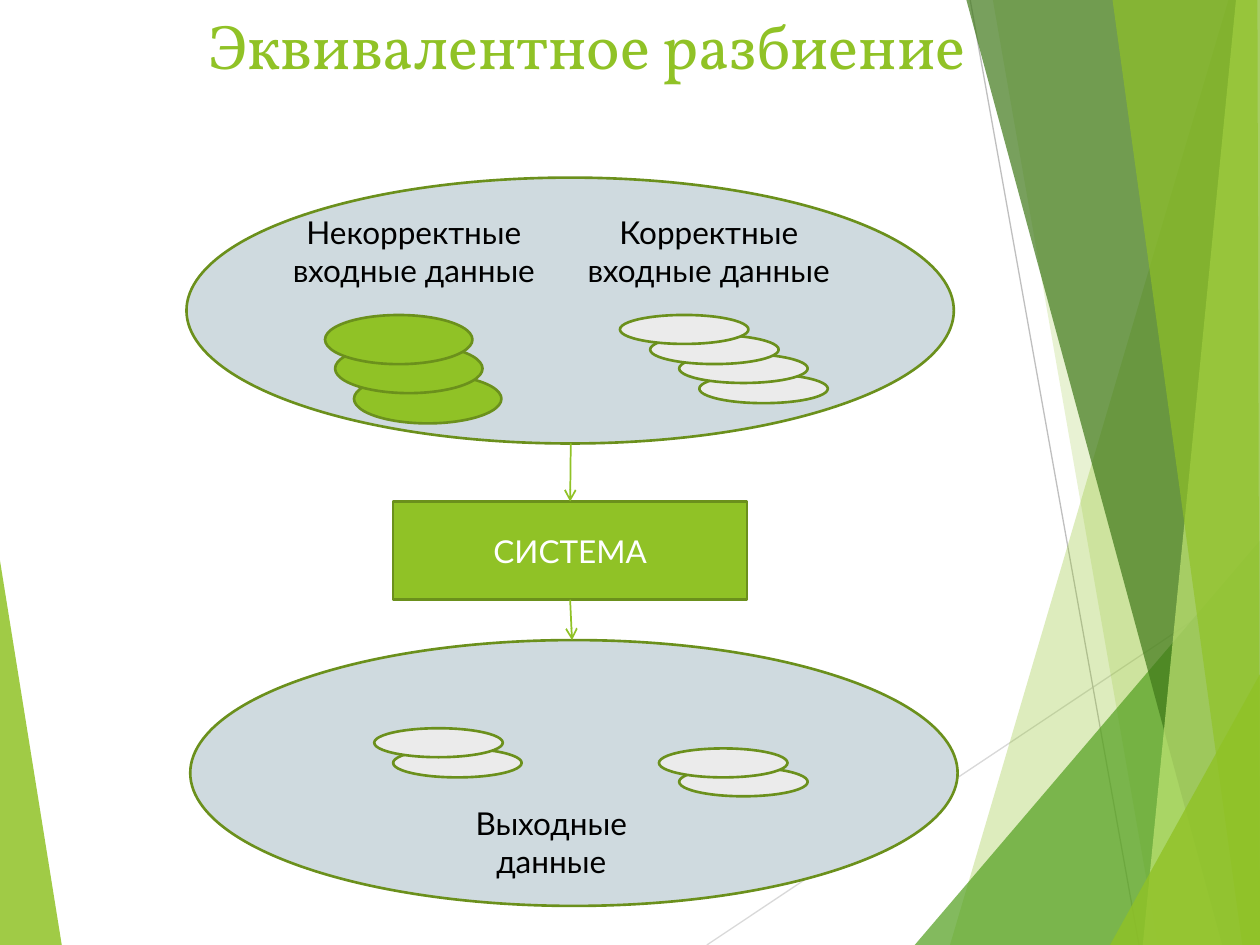
from dataclasses import dataclass

import lxml.etree
import pptx
import pptx.dml.color
import pptx.enum.shapes
import pptx.enum.text
import pptx.oxml.ns
import pptx.util

Inches = pptx.util.Inches
Pt = pptx.util.Pt
qn = pptx.oxml.ns.qn
SHAPE = pptx.enum.shapes.MSO_SHAPE
ANCHOR = pptx.enum.text.MSO_ANCHOR


@dataclass(frozen=True)
class Theme:
    green: str = "90C226"
    leaf: str = "54A021"
    forest: str = "3F7819"
    lime: str = "C0E474"
    outline: str = "6B901C"
    pool: str = "CFDADF"
    valid: str = "EBEBEB"
    ray_light: str = "D9D9D9"
    ray_dark: str = "BFBFBF"
    black: str = "000000"
    white: str = "FFFFFF"
    title_font: str = "Vollkorn"
    body_font: str = "Lato"
    title_size: int = 36
    body_size: int = 18


THEME = Theme()


@dataclass(frozen=True)
class Facet:
    points: tuple[tuple[float, float], ...]
    color: str
    opacity: int


@dataclass(frozen=True)
class Box:
    left: float
    top: float
    width: float
    height: float

    def lengths(self) -> tuple:
        return tuple(map(Inches, (self.left, self.top, self.width, self.height)))


@dataclass(frozen=True)
class Stack:
    corners: tuple[tuple[float, float], ...]
    width: float
    height: float
    color: str


@dataclass(frozen=True)
class Label:
    text: str
    box: Box


LEFT_FACET = Facet(((0, 4.45), (0.49, 7.5), (0, 7.5)), THEME.green, 85)
RIGHT_FACETS = (
    Facet(((9.75, 0), (7.54, 7.5), (10, 7.5), (10, 0)), THEME.green, 30),
    Facet(((7.88, 0), (9.19, 7.5), (10, 7.5), (10, 0)), THEME.green, 20),
    Facet(((7.26, 7.5), (10, 4.29), (10, 7.5)), THEME.leaf, 72),
    Facet(((7.67, 0), (9.7, 7.5), (10, 7.5), (10, 0)), THEME.forest, 70),
    Facet(((9.81, 0), (9.07, 7.5), (10, 7.5), (10, 0)), THEME.lime, 70),
    Facet(((8.83, 0), (9.86, 7.5), (10, 7.5), (9.98, 0)), THEME.green, 65),
    Facet(((8.81, 7.5), (10, 5.35), (10, 7.5)), THEME.green, 80),
)
INPUT_STACKS = (
    Stack(((2.81, 2.97), (2.66, 2.73), (2.58, 2.5)), 1.17, 0.39, THEME.green),
    Stack(((5.55, 2.97), (5.39, 2.81), (5.16, 2.66), (4.92, 2.5)), 1.02, 0.23, THEME.valid),
)
OUTPUT_STACKS = (
    Stack(((3.12, 5.94), (2.97, 5.78)), 1.02, 0.23, THEME.valid),
    Stack(((5.39, 6.09), (5.23, 5.94)), 1.02, 0.23, THEME.valid),
)
INPUT_LABELS = (
    Label("Некорректные входные данные", Box(2.19, 1.64, 2.19, 0.71)),
    Label("Корректные входные данные", Box(4.53, 1.64, 2.19, 0.71)),
)
OUTPUT_LABEL = Label("Выходные данные", Box(3.28, 6.33, 2.19, 0.71))


def rgb(color: str) -> pptx.dml.color.RGBColor:
    return pptx.dml.color.RGBColor.from_string(color)


def add_facet(s, facet: Facet) -> None:
    start, *rest = [(Inches(x), Inches(y)) for x, y in facet.points]
    builder = s.shapes.build_freeform(*start)
    builder.add_line_segments(rest)
    sp = builder.convert_to_shape()
    sp.shadow.inherit = False
    sp.fill.solid()
    sp.fill.fore_color.rgb = rgb(facet.color)
    color = sp._element.spPr.find(qn("a:solidFill"))[0]
    lxml.etree.SubElement(color, qn("a:alpha"), val=str(facet.opacity * 1000))
    sp.line.fill.background()


def add_line(s, start: tuple[float, float], end: tuple[float, float],
             color: str, width: float, arrow: bool = False):
    cx = s.shapes.add_connector(pptx.enum.shapes.MSO_CONNECTOR.STRAIGHT,
                                *map(Inches, start + end))
    cx.line.color.rgb = rgb(color)
    cx.line.width = Pt(width)
    if arrow:
        ln = cx.line._get_or_add_ln()
        lxml.etree.SubElement(ln, qn("a:tailEnd"), type="arrow")
    lxml.etree.SubElement(cx._element.spPr, qn("a:effectLst"))
    return cx


def add_block(s, kind, box: Box, color: str):
    sp = s.shapes.add_shape(kind, *box.lengths())
    sp.shadow.inherit = False
    sp.fill.solid()
    sp.fill.fore_color.rgb = rgb(color)
    sp.line.color.rgb = rgb(THEME.outline)
    sp.line.width = Pt(1.5)
    return sp


def add_stack(s, stack: Stack) -> None:
    for left, top in stack.corners:
        add_block(s, SHAPE.OVAL, Box(left, top, stack.width, stack.height), stack.color)


def set_text(sp, text: str, color: str, font: str = THEME.body_font,
             size: int = THEME.body_size, anchor=ANCHOR.TOP) -> None:
    tf = sp.text_frame
    tf.word_wrap = True
    tf.vertical_anchor = anchor
    p = tf.paragraphs[0]
    p.text = text
    p.alignment = pptx.enum.text.PP_ALIGN.CENTER
    p.font.name = font
    p.font.size = Pt(size)
    p.font.color.rgb = rgb(color)


def add_label(s, label: Label) -> None:
    set_text(s.shapes.add_textbox(*label.box.lengths()), label.text, THEME.black)


def main() -> None:
    prs = pptx.Presentation()
    prs.slide_width, prs.slide_height = Inches(10), Inches(7.5)
    s = prs.slides.add_slide(prs.slide_layouts[6])

    add_facet(s, LEFT_FACET)
    add_line(s, (5.61, 7.5), (10, 4.57), THEME.ray_light, 0.75)
    add_line(s, (7.7, 0), (9.04, 7.5), THEME.ray_dark, 0.75)
    for facet in RIGHT_FACETS:
        add_facet(s, facet)

    title = s.shapes.add_textbox(*Box(0.16, 0, 9, 1.09).lengths())
    set_text(title, "Эквивалентное разбиение", THEME.green,
             THEME.title_font, THEME.title_size)

    add_block(s, SHAPE.OVAL, Box(1.48, 1.41, 6.09, 2.11), THEME.pool)
    for stack in INPUT_STACKS:
        add_stack(s, stack)
    for label in INPUT_LABELS:
        add_label(s, label)

    system = add_block(s, SHAPE.RECTANGLE, Box(3.12, 3.98, 2.81, 0.78), THEME.green)
    set_text(system, "СИСТЕМА", THEME.white, anchor=ANCHOR.MIDDLE)

    add_block(s, SHAPE.OVAL, Box(1.51, 5.08, 6.09, 2.11), THEME.pool)
    add_label(s, OUTPUT_LABEL)
    for stack in OUTPUT_STACKS:
        add_stack(s, stack)

    to_system = add_line(s, (4.53, 3.52), (4.53, 3.98), THEME.green, 1, arrow=True)
    to_system.end_connect(system, 0)
    to_output = add_line(s, (4.53, 4.76), (4.54, 5.08), THEME.green, 1, arrow=True)
    to_output.begin_connect(system, 2)

    prs.save("out.pptx")


if __name__ == "__main__":
    main()
